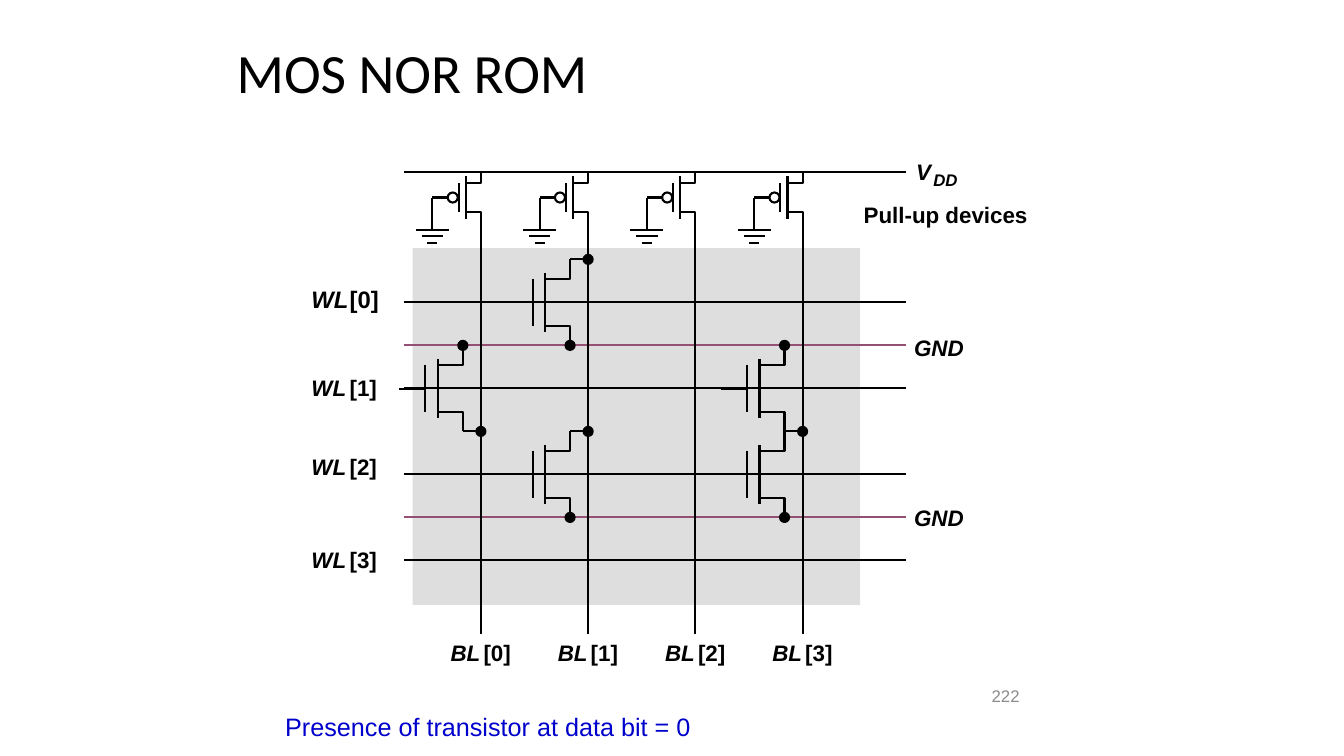
"""Draws the MOS NOR ROM circuit slide."""
from lxml import etree
from pptx import Presentation
from pptx.dml.color import RGBColor
from pptx.enum.shapes import MSO_CONNECTOR, MSO_SHAPE
from pptx.enum.text import MSO_ANCHOR, MSO_AUTO_SIZE
from pptx.oxml.ns import qn
from pptx.util import Pt

STRAIGHT = MSO_CONNECTOR.STRAIGHT
RECTANGLE, OVAL = MSO_SHAPE.RECTANGLE, MSO_SHAPE.OVAL
TOP, MIDDLE = MSO_ANCHOR.TOP, MSO_ANCHOR.MIDDLE
FIT = MSO_AUTO_SIZE.SHAPE_TO_FIT_TEXT
COLORS = {"ink": "000000", "paper": "FFFFFF", "array": "C0C0C0",
          "ground": "954F72", "note": "0000CC", "number": "8C8C8C"}

BIT_LINES = [343.5 + 76.6 * column for column in range(4)]
ROW_STEP = 30.72
WORD_LINES = [216 + ROW_STEP * row for row in (0, 2, 4, 6)]
GROUND_LINES = [216 + ROW_STEP * row for row in (1, 5)]
SUPPLY = 122.8
BUS_LEFT, BUS_RIGHT = 288.7, 647.3
WORD_LABELS = [(203.4, 17), (267.3, 16), (324, 16), (390.2, 16)]
TRANSISTORS = [(0, 1, -1), (1, 0, 1), (1, 3, 1), (2, 1, -1), (2, 3, -1)]
BIT_NODES = [(1, -1), (0, 3), (1, 3), (3, 3)]
GATE_LEADS = [0, 3]
GROUND_BARS = [(164.2, 11.8), (168.9, 7.6), (173.9, 3.6)]


class Circuit:
    """Holds the drawing style and the current slide."""

    def __init__(self, page):
        self.page = page
        self.weight = Pt(1.5)

    def color(self, name):
        return RGBColor.from_string(COLORS[name])

    def outline(self, shape, color="ink"):
        shape.line.color.rgb = self.color(color)
        shape.line.width = self.weight

    def line(self, x1, y1, x2, y2, color="ink"):
        wire = self.page.shapes.add_connector(STRAIGHT, Pt(x1), Pt(y1), Pt(x2), Pt(y2))
        self.outline(wire, color)
        etree.SubElement(wire._element.spPr, qn("a:effectLst"))

    def bend(self, *points):
        start, *rest = [(Pt(x), Pt(y)) for x, y in points]
        builder = self.page.shapes.build_freeform(*start)
        builder.add_line_segments(rest, close=False)
        wire = builder.convert_to_shape()
        wire.fill.background()
        wire.shadow.inherit = False
        self.outline(wire)

    def circle(self, x, y, size, fill="ink"):
        disc = self.page.shapes.add_shape(
            OVAL, Pt(x - size / 2), Pt(y - size / 2), Pt(size), Pt(size))
        disc.fill.solid()
        disc.fill.fore_color.rgb = self.color(fill)
        disc.shadow.inherit = False
        self.outline(disc)

    def panel(self, x, y, width, height, fill, opacity):
        panel = self.page.shapes.add_shape(RECTANGLE, Pt(x), Pt(y), Pt(width), Pt(height))
        panel.fill.solid()
        panel.fill.fore_color.rgb = self.color(fill)
        tint = panel._element.spPr.find(".//" + qn("a:srgbClr"))
        etree.SubElement(tint, qn("a:alpha"), val=str(opacity * 1000))
        panel.line.fill.background()
        panel.shadow.inherit = False

    def text(self, words, x, y, width, height, size, color="ink", face="Arial",
             anchor=MIDDLE, wrap=True):
        box = self.page.shapes.add_textbox(Pt(x), Pt(y), Pt(width), Pt(height))
        frame = box.text_frame
        frame.word_wrap = wrap
        frame.vertical_anchor = anchor
        para = frame.paragraphs[0]
        para.text = words
        para.font.name = face
        para.font.size = Pt(size)
        para.font.color.rgb = self.color(color)
        return frame

    def label(self, words, x, y, width, size=16, italic=True):
        frame = self.text(words, x, y, width, size * 1.2, size, anchor=TOP, wrap=False)
        frame.margin_left = frame.margin_right = 0
        frame.margin_top = frame.margin_bottom = 0
        frame.auto_size = FIT
        frame.paragraphs[0].font.bold = True
        frame.paragraphs[0].font.italic = italic

    def pull_up(self, x):
        channel, gate, lead = x - 10.8, x - 15.9, x - 34.6
        self.bend((x, SUPPLY), (x, 131), (channel, 131))
        self.bend((channel, 151.2), (x, 151.2), (x, 159.8))
        self.line(channel, 126, channel, 156.2)
        self.line(gate, 131, gate, 151.2)
        self.circle(x - 20.1, 141.1, 7.2, "paper")
        self.line(lead, 141.1, x - 23.7, 141.1)
        self.line(lead, 141.1, lead, GROUND_BARS[0][0])
        for y, half in GROUND_BARS:
            self.line(lead - half, y, lead + half, y)

    def transistor(self, x, y, bit_side):
        channel, gate, terminal = x - 30.8, x - 39.6, x - 12.9
        for side in (-1, 1):
            end, stub = y + side * ROW_STEP, y + side * 16.8
            self.bend((terminal, end), (terminal, stub), (channel, stub))
        self.line(channel, y - 21, channel, y + 21)
        self.line(gate, y - 16.8, gate, y + 16.8)
        self.circle(terminal, y - bit_side * ROW_STEP, 6.5)

    def bit_node(self, x, y):
        self.line(x - 12.9, y, x, y)
        self.circle(x, y, 6.5)


def main():
    deck = Presentation()
    deck.slide_width, deck.slide_height = Pt(960), Pt(540)
    circuit = Circuit(deck.slides.add_slide(deck.slide_layouts[6]))

    title = circuit.text("MOS NOR ROM", 162, 37.8, 635.8, 31.7, 39.6, face="Calibri")
    title.paragraphs[0].line_spacing = 0.9

    circuit.line(BUS_LEFT, SUPPLY, BUS_RIGHT, SUPPLY)
    circuit.panel(294.7, 177.3, 319.7, 254.9, "array", 51)
    for y in WORD_LINES:
        circuit.line(BUS_LEFT, y, BUS_RIGHT, y)
    for y in GROUND_LINES:
        circuit.line(BUS_LEFT, y, BUS_RIGHT, y, "ground")
    for bit in GATE_LEADS:
        x, y = BIT_LINES[bit], WORD_LINES[1] + 0.3
        circuit.line(x - 58.4, y, x - 40, y)

    for x in BIT_LINES:
        circuit.line(x, 452.9, x, 159.8)
        circuit.pull_up(x)
    for word, bit, bit_side in TRANSISTORS:
        circuit.transistor(BIT_LINES[bit], WORD_LINES[word], bit_side)
    for bit, row in BIT_NODES:
        circuit.bit_node(BIT_LINES[bit], WORD_LINES[0] + row * ROW_STEP)

    for index, (y, size) in enumerate(WORD_LABELS):
        circuit.label("WL", 222.5, y, size * 1.58, size)
        circuit.label(f"[{index}]", 249.8, y, size * 1.24, size, italic=False)
    for index, x in enumerate(BIT_LINES):
        circuit.label("BL", x - 21.6, 456.5, 21.6)
        circuit.label(f"[{index}]", x + 1.9, 456.5, 20, italic=False)
    for y in (239, 360):
        circuit.label("GND", 653, y, 36)
    circuit.label("V", 654.5, 113, 11)
    circuit.label("DD", 666.7, 121, 18, size=12)
    circuit.label("Pull-up devices", 617, 144, 119, italic=False)

    circuit.text("222", 701.3, 480, 48.2, 33.8, 12, "number")
    note = circuit.text("Presence of transistor at data bit = 0", 195.8, 504.7,
                        307.4, 29.5, 18, "note", anchor=TOP, wrap=False)
    note.margin_left = note.margin_right = Pt(7.9)
    deck.save("out.pptx")


if __name__ == "__main__":
    main()
